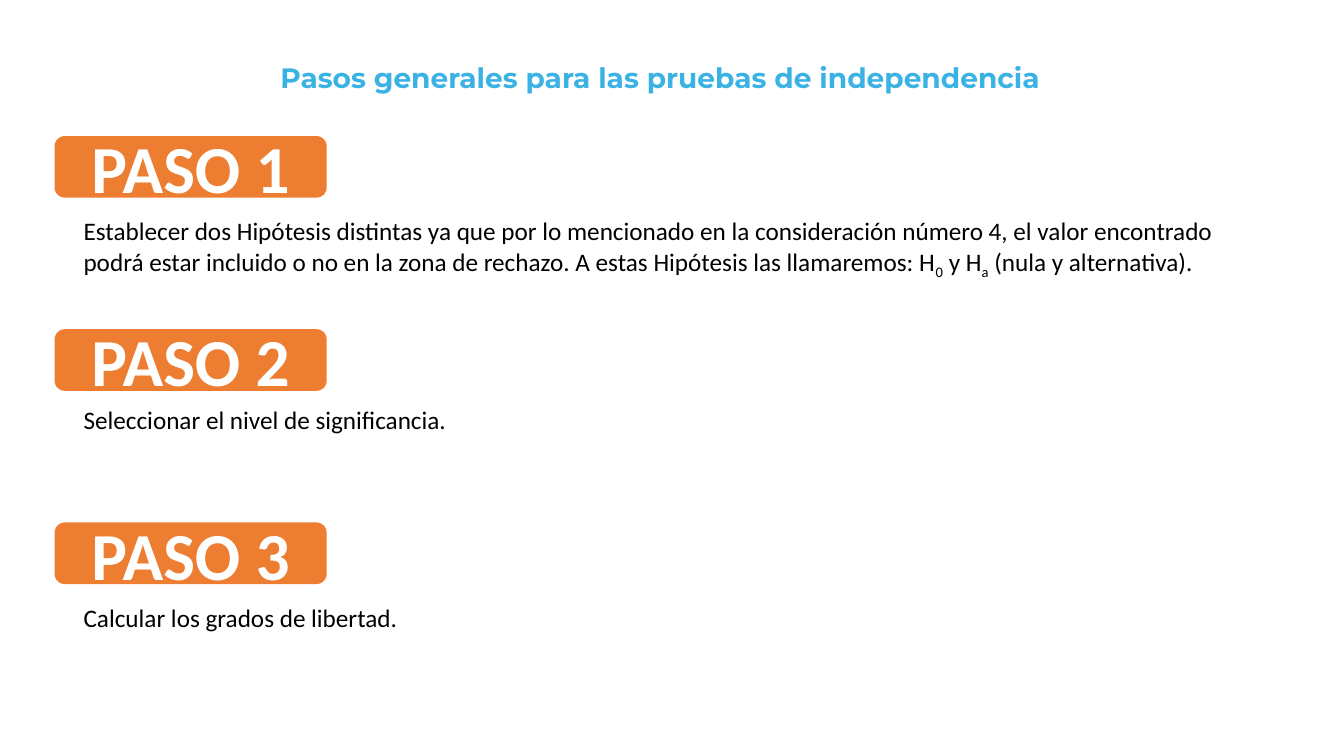
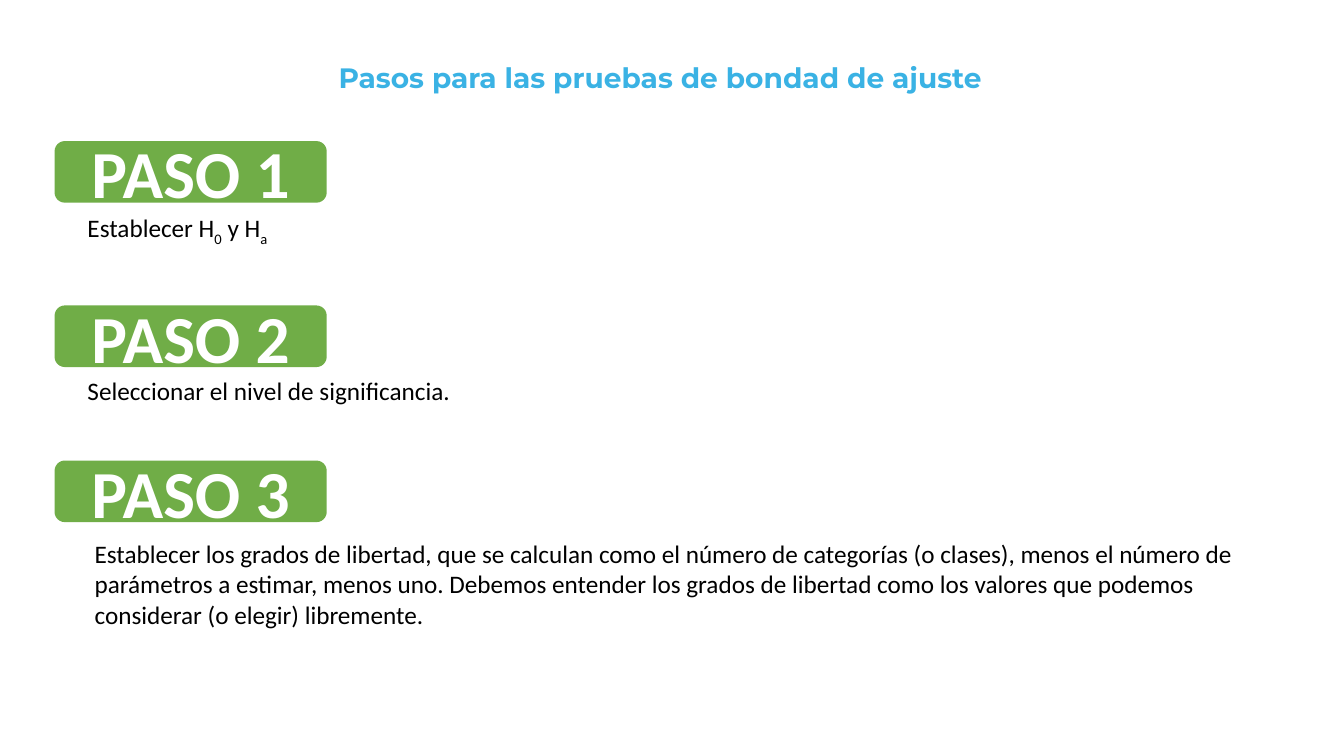
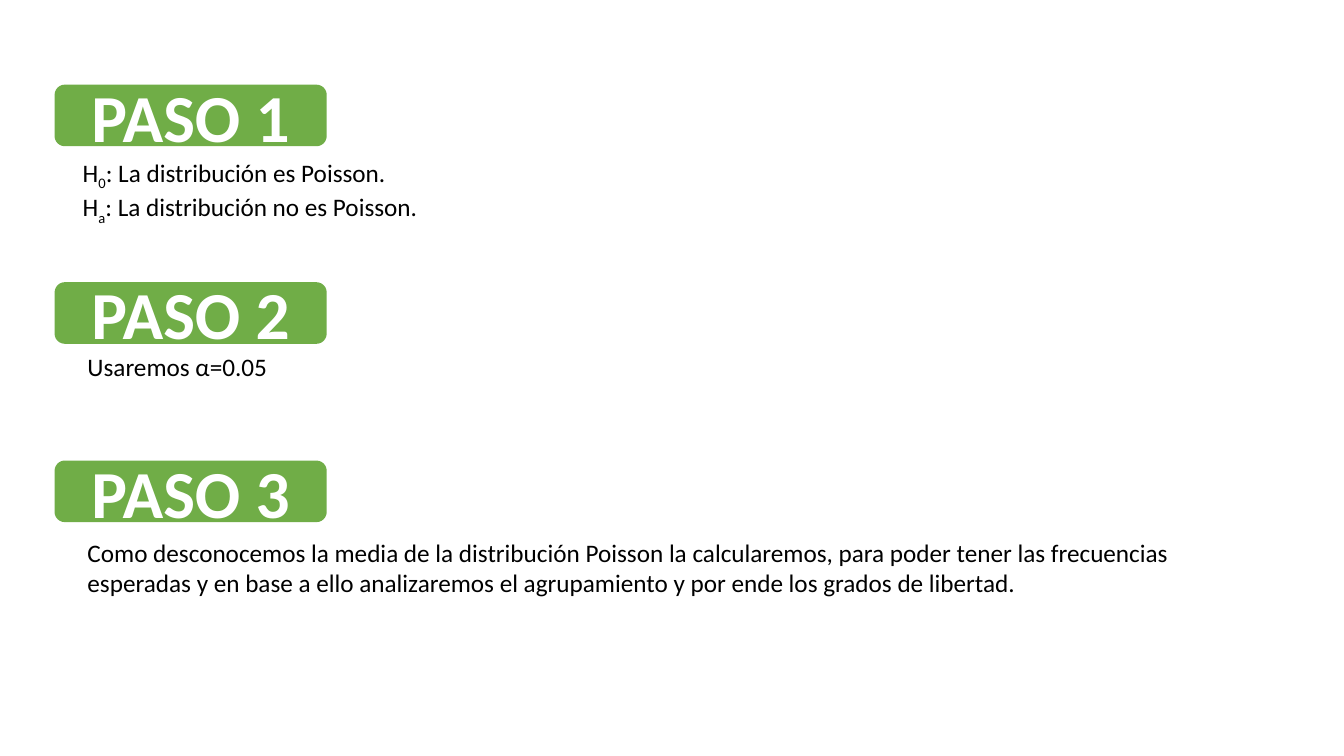
from dataclasses import dataclass

from pptx import Presentation
from pptx.dml.color import RGBColor
from pptx.enum.shapes import MSO_SHAPE
from pptx.enum.text import MSO_ANCHOR, MSO_AUTO_SIZE, PP_ALIGN
from pptx.slide import Slide
from pptx.text.text import TextFrame
from pptx.util import Pt

# Shared style
BLUE = RGBColor(0x3A, 0xB2, 0xE4)
ORANGE = RGBColor(0xED, 0x7D, 0x31)
GREEN = RGBColor(0x70, 0xAD, 0x47)
WHITE = RGBColor(0xFF, 0xFF, 0xFF)
BLACK = RGBColor(0x00, 0x00, 0x00)
TITLE_FONT, BODY_FONT = "Montserrat", "Calibri"
MARGIN = 39
TITLE_TOP, TITLE_WIDTH, TITLE_HEIGHT = 39.6, 865.4, 31.5
BADGE_WIDTH, BADGE_HEIGHT = 194.4, 44
LINE_HEIGHT = 22
TITLE_ONLY, BLANK = 5, 6


@dataclass
class Step:
    badge_top: float
    text_left: float
    text_top: float
    lines: list[str]  # "_" lowers the character after it
    text_width: float = 480


@dataclass
class StepSlide:
    color: RGBColor
    steps: list[Step]
    title: str = ""


SLIDES = [
    StepSlide(ORANGE, [
        Step(97.2, 52.6, 150.5, [
            "Establecer dos Hipótesis distintas ya que por lo mencionado en la "
            "consideración número 4, el valor encontrado podrá estar incluido o no "
            "en la zona de rechazo. A estas Hipótesis las llamaremos: "
            "H_0 y H_a (nula y alternativa)."], 835.2),
        Step(235.2, 52.6, 285.1, ["Seleccionar el nivel de significancia."]),
        Step(373.2, 52.6, 427, ["Calcular los grados de libertad."]),
    ], "Pasos generales para las pruebas de independencia"),
    StepSlide(GREEN, [
        Step(100.8, 55.4, 148.3, ["Establecer H_0 y H_a"]),
        Step(218.2, 55.4, 264.2, ["Seleccionar el nivel de significancia."]),
        Step(329, 60.5, 381, [
            "Establecer los grados de libertad, que se calculan como el número de "
            "categorías (o clases), menos el número de parámetros a estimar, menos "
            "uno. Debemos entender los grados de libertad como los valores que "
            "podemos considerar (o elegir) libremente."], 865.4),
    ], "Pasos para las pruebas de bondad de ajuste"),
    StepSlide(GREEN, [
        Step(60.5, 52, 108.7, ["H_0: La distribución es Poisson.",
                               "H_a: La distribución no es Poisson."]),
        Step(201.6, 55.4, 247.7, ["Usaremos α=0.05"]),
        Step(329, 55.4, 380.2, [
            "Como desconocemos la media de la distribución Poisson la calcularemos, "
            "para poder tener las frecuencias esperadas y en base a ello "
            "analizaremos el agrupamiento y por ende los grados de libertad."],
            802.8),
    ]),
]


def write_lines(tf: TextFrame, lines: list[str], font: str, size: float,
                color: RGBColor, bold: bool = False,
                align: PP_ALIGN = PP_ALIGN.LEFT) -> None:
    tf.word_wrap = True
    for i, line in enumerate(lines):
        p = tf.add_paragraph() if i else tf.paragraphs[0]
        p.alignment = align
        p.font.name, p.font.size, p.font.bold = font, Pt(size), bold
        p.font.color.rgb = color
        first, *rest = line.split("_")
        p.add_run().text = first
        for part in rest:
            r = p.add_run()
            r.text = part[0]
            r._r.get_or_add_rPr().set("baseline", "-25000")
            if part[1:]:
                p.add_run().text = part[1:]


def add_title(s: Slide, text: str) -> None:
    sp = s.shapes.title
    sp.left, sp.top = Pt(MARGIN), Pt(TITLE_TOP)
    sp.width, sp.height = Pt(TITLE_WIDTH), Pt(TITLE_HEIGHT)
    tf = sp.text_frame
    tf.auto_size = MSO_AUTO_SIZE.NONE
    tf.vertical_anchor = MSO_ANCHOR.MIDDLE
    write_lines(tf, [text], TITLE_FONT, 20, BLUE, True, PP_ALIGN.CENTER)


def add_step(s: Slide, number: int, step: Step, color: RGBColor) -> None:
    # Badge
    sp = s.shapes.add_shape(MSO_SHAPE.ROUNDED_RECTANGLE, Pt(MARGIN),
                            Pt(step.badge_top), Pt(BADGE_WIDTH), Pt(BADGE_HEIGHT))
    sp.shadow.inherit = False
    sp.fill.solid()
    sp.fill.fore_color.rgb = color
    sp.line.fill.background()
    sp.text_frame.vertical_anchor = MSO_ANCHOR.MIDDLE
    write_lines(sp.text_frame, [f"PASO {number}"], BODY_FONT, 48, WHITE, True,
                PP_ALIGN.CENTER)

    # Explanation
    box = s.shapes.add_textbox(Pt(step.text_left), Pt(step.text_top),
                               Pt(step.text_width),
                               Pt(LINE_HEIGHT * len(step.lines) + 7))
    box.text_frame.auto_size = MSO_AUTO_SIZE.SHAPE_TO_FIT_TEXT
    write_lines(box.text_frame, step.lines, BODY_FONT, 18, BLACK)


def main() -> None:
    prs = Presentation()
    prs.slide_width, prs.slide_height = Pt(960), Pt(540)
    for content in SLIDES:
        layout = prs.slide_layouts[TITLE_ONLY if content.title else BLANK]
        s = prs.slides.add_slide(layout)
        if content.title:
            add_title(s, content.title)
        for number, step in enumerate(content.steps, 1):
            add_step(s, number, step, content.color)
    prs.save("out.pptx")


if __name__ == "__main__":
    main()
